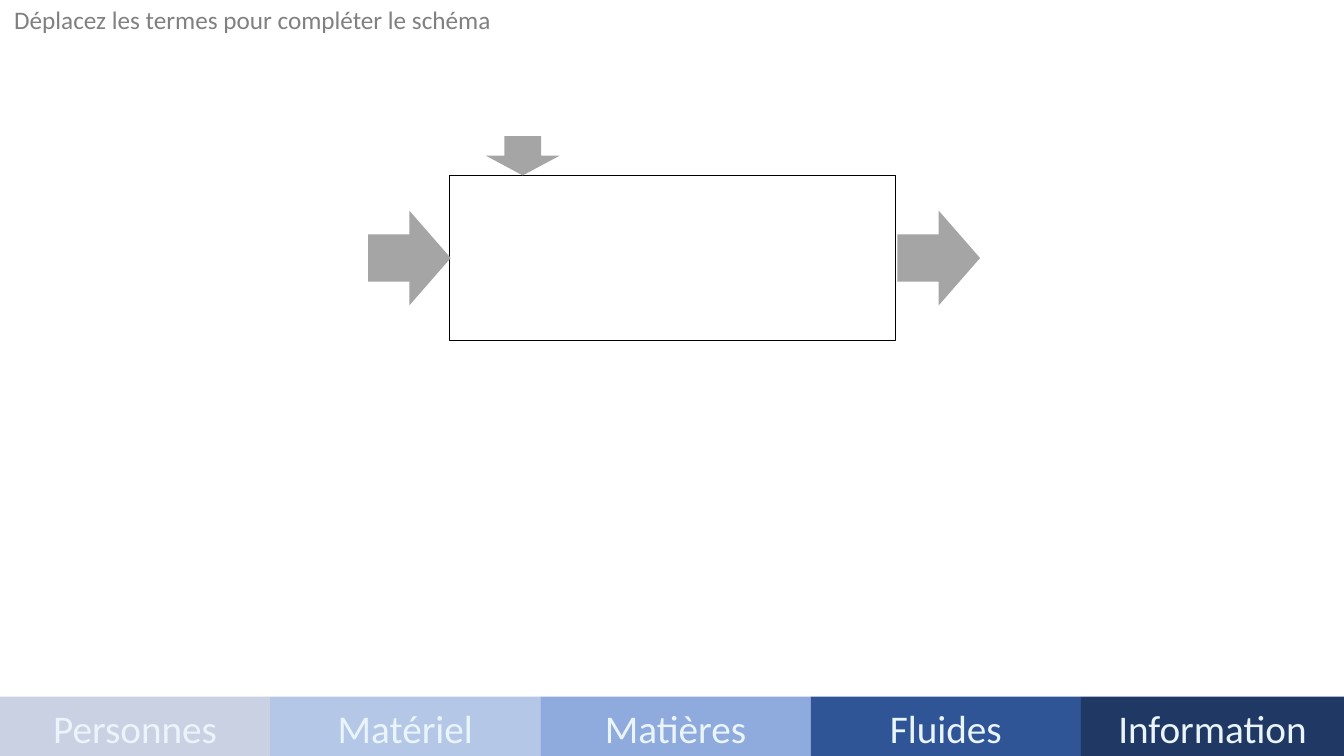
from pptx import Presentation
from pptx.dml.color import RGBColor
from pptx.enum.shapes import MSO_SHAPE
from pptx.enum.text import MSO_ANCHOR, MSO_AUTO_SIZE, PP_ALIGN
from pptx.util import Inches, Pt

RECT, RIGHT, DOWN = MSO_SHAPE.RECTANGLE, MSO_SHAPE.RIGHT_ARROW, MSO_SHAPE.DOWN_ARROW
BOTTOM, MIDDLE = MSO_ANCHOR.BOTTOM, MSO_ANCHOR.MIDDLE
CENTER, NO_FIT = PP_ALIGN.CENTER, MSO_AUTO_SIZE.NONE

# Content
TITLE = "Déplacez les termes pour compléter le schéma"
TERMS = [
    ("Personnes", "CAD1E2"),
    ("Matériel", "B4C7E7"),
    ("Matières", "8FAADC"),
    ("Fluides", "2F5597"),
    ("Information", "203864"),
]
ARROWS = [
    (RIGHT, 3.65, 2.09, 0.82, 0.94),
    (RIGHT, 8.9, 2.09, 0.82, 0.94),
    (DOWN, 4.82, 1.35, 0.73, 0.39),
]
SLIDE_W, SLIDE_H = 13.33, 7.5
TERM_W, TERM_H = 2.68, 0.59


def color(value):
    return RGBColor.from_string(value)


def add_block(kind, x, y, w, h, fill, line=None):
    sp = s.shapes.add_shape(kind, Inches(x), Inches(y), Inches(w), Inches(h))
    sp.shadow.inherit = False
    sp.fill.solid()
    sp.fill.fore_color.rgb = color(fill)
    if line:
        sp.line.color.rgb = color(line)
        sp.line.width = Pt(1)
    else:
        sp.line.fill.background()
    return sp


def set_text(sp, text, size, font_color, anchor):
    tf = sp.text_frame
    tf.auto_size = NO_FIT
    tf.word_wrap = True
    tf.vertical_anchor = anchor
    p = tf.paragraphs[0]
    p.text = text
    p.alignment = CENTER
    p.font.name = "Calibri"
    p.font.size = Pt(size)
    p.font.color.rgb = color(font_color)


prs = Presentation()
prs.slide_width, prs.slide_height = Inches(SLIDE_W), Inches(SLIDE_H)
s = prs.slides.add_slide(prs.slide_layouts[5])

# Instruction
title = s.shapes.title
title.left, title.top = Inches(0), Inches(0)
title.width, title.height = Inches(5.01), Inches(0.39)
set_text(title, TITLE, 18, "808080", MIDDLE)

# Band of terms, the last one ending at the slide edge
for i, (term, fill) in enumerate(TERMS):
    x = i * TERM_W
    w = min(TERM_W, SLIDE_W - x)
    sp = add_block(RECT, x, SLIDE_H - TERM_H, w, TERM_H, fill)
    set_text(sp, term, 28, "E9F5FA", BOTTOM)

# System box with its input, output and control arrows
add_block(RECT, 4.46, 1.74, 4.42, 1.64, "FFFFFF", "000000")
for kind, x, y, w, h in ARROWS:
    add_block(kind, x, y, w, h, "A5A5A5")

prs.save("out.pptx")
